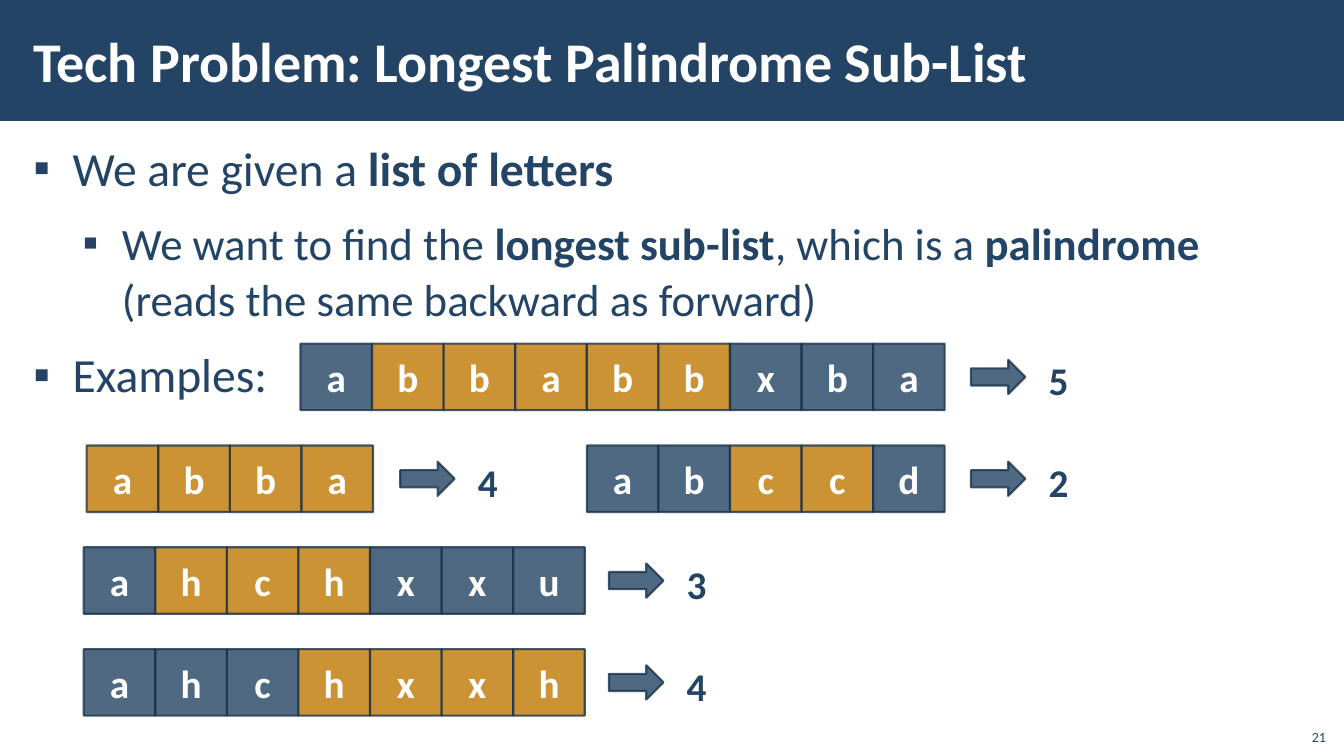
from lxml.etree import SubElement
from pptx import Presentation
from pptx.dml.color import RGBColor
from pptx.enum.shapes import MSO_SHAPE as Shape
from pptx.enum.text import MSO_ANCHOR as Anchor, MSO_AUTO_SIZE as AutoSize, PP_ALIGN as Align
from pptx.oxml.ns import qn
from pptx.util import Pt

PX = 9144  # 100 px to the inch
NAVY, GOLD, EDGE, WHITE = "234465", "BF7800", "1A334C", "FFFFFF"
CELL_W, CELL_H = 71, 66
ROW_TOP, ROW_STEP = 341, 101

# Row, left, letters, start and end of the palindrome, arrow left
EXAMPLES = [
    (0, 298, "abbabbxba", 1, 6, 963),
    (1, 86, "abba", 0, 4, 397),
    (1, 582, "abccd", 2, 4, 963),
    (2, 83, "ahchxxu", 1, 4, 604),
    (3, 83, "ahchxxh", 3, 7, 604),
]

# Level, size, spans as (text, bold)
BULLETS = [
    (0, 34, [("We are given a ", False), ("list of letters", True)]),
    (1, 32, [("We want to find the ", False), ("longest sub-list", True),
             (", which is a ", False), ("palindrome", True),
             (" (reads the same backward as forward)", False)]),
    (0, 34, [("Examples:", False)]),
]


def px(*lengths):
    return [length * PX for length in lengths]


def paint(color_format, color):
    color_format.rgb = RGBColor.from_string(color)


def add_span(para, text, size, color=NAVY, bold=False):
    span = para.add_run()
    span.text = text
    font = span.font
    font.name, font.size, font.bold = "Calibri", Pt(size), bold
    paint(font.color, color)


def set_frame(box, anchor=Anchor.TOP, insets=(12, 4), wrap=True):
    frame = box.text_frame
    frame.auto_size = AutoSize.NONE
    frame.word_wrap = wrap
    frame.vertical_anchor = anchor
    frame.margin_left = frame.margin_right = insets[0] * PX
    frame.margin_top = frame.margin_bottom = insets[1] * PX
    return frame


def write(box, text, size, color=NAVY, bold=True, align=Align.LEFT, spacing=None, **frame_format):
    para = set_frame(box, **frame_format).paragraphs[0]
    para.alignment = align
    para.line_spacing = spacing
    add_span(para, text, size, color, bold)


def make_translucent(shape):
    for color in shape._element.spPr.iter(qn("a:srgbClr")):
        SubElement(color, qn("a:alpha"), val="80000")


def add_block(shapes, kind, bounds, fill):
    block = shapes.add_shape(kind, *px(*bounds))
    block.shadow.inherit = False
    block.fill.solid()
    paint(block.fill.fore_color, fill)
    paint(block.line.color, EDGE)
    block.line.width = Pt(1.5)
    make_translucent(block)
    return block


def add_example(page, row, left, letters, start, end, arrow_left):
    shapes = page.shapes.add_group_shape().shapes
    top = ROW_TOP + row * ROW_STEP
    for index, letter in enumerate(letters):
        fill = GOLD if start <= index < end else NAVY
        cell = add_block(shapes, Shape.RECTANGLE,
                         (left + index * CELL_W, top, CELL_W, CELL_H), fill)
        write(cell, letter, 28, WHITE, align=Align.CENTER, anchor=Anchor.MIDDLE, insets=(10, 5))
    add_block(shapes, Shape.RIGHT_ARROW, (arrow_left, top + 16, 54, 34), NAVY)
    result = shapes.add_textbox(*px(arrow_left + 61, top - 4, 52, 73))
    write(result, str(end - start), 28, spacing=1.1, insets=(16, 12), wrap=False)


def add_bullets(page):
    frame = set_frame(page.shapes.add_textbox(*px(21, 131, 1292, 605)))
    for index, (level, size, spans) in enumerate(BULLETS):
        para = frame.add_paragraph() if index else frame.paragraphs[0]
        para.level = level
        props = para._p.get_or_add_pPr()
        props.set("marL", str((39 + 49 * level) * PX))
        props.set("indent", str(-39 * PX))
        SubElement(props, qn("a:buFont"), typeface="Arial")
        SubElement(props, qn("a:buChar"), char="▪")
        para.line_spacing = 1.05
        para.space_before = Pt(6 if index else 0)
        para.space_after = Pt(6)
        for text, bold in spans:
            add_span(para, text, size, bold=bold)


def add_header(page, text):
    band = page.shapes.add_shape(Shape.RECTANGLE, *px(0, 0, 1334, 120))
    band.shadow.inherit = False
    band.fill.solid()
    paint(band.fill.fore_color, NAVY)
    band.line.fill.background()
    title = page.shapes.title
    title._element.addprevious(band._element)  # band goes behind the title
    title.left, title.top, title.width, title.height = px(21, 11, 1063, 97)
    write(title, text, 40, WHITE, anchor=Anchor.MIDDLE)


def main():
    deck = Presentation()
    deck.slide_width, deck.slide_height = px(1333, 750)
    page = deck.slides.add_slide(deck.slide_layouts[5])

    # Header and explanation
    add_header(page, "Tech Problem: Longest Palindrome Sub-List")
    add_bullets(page)

    # Letter rows with the palindrome in gold and its length
    for example in EXAMPLES:
        add_example(page, *example)

    # Slide number
    number = page.shapes.add_textbox(*px(1285, 712, 40, 32))
    write(number, "21", 10, bold=False, align=Align.RIGHT, anchor=Anchor.BOTTOM, insets=(10, 5))

    deck.save("out.pptx")


if __name__ == "__main__":
    main()
